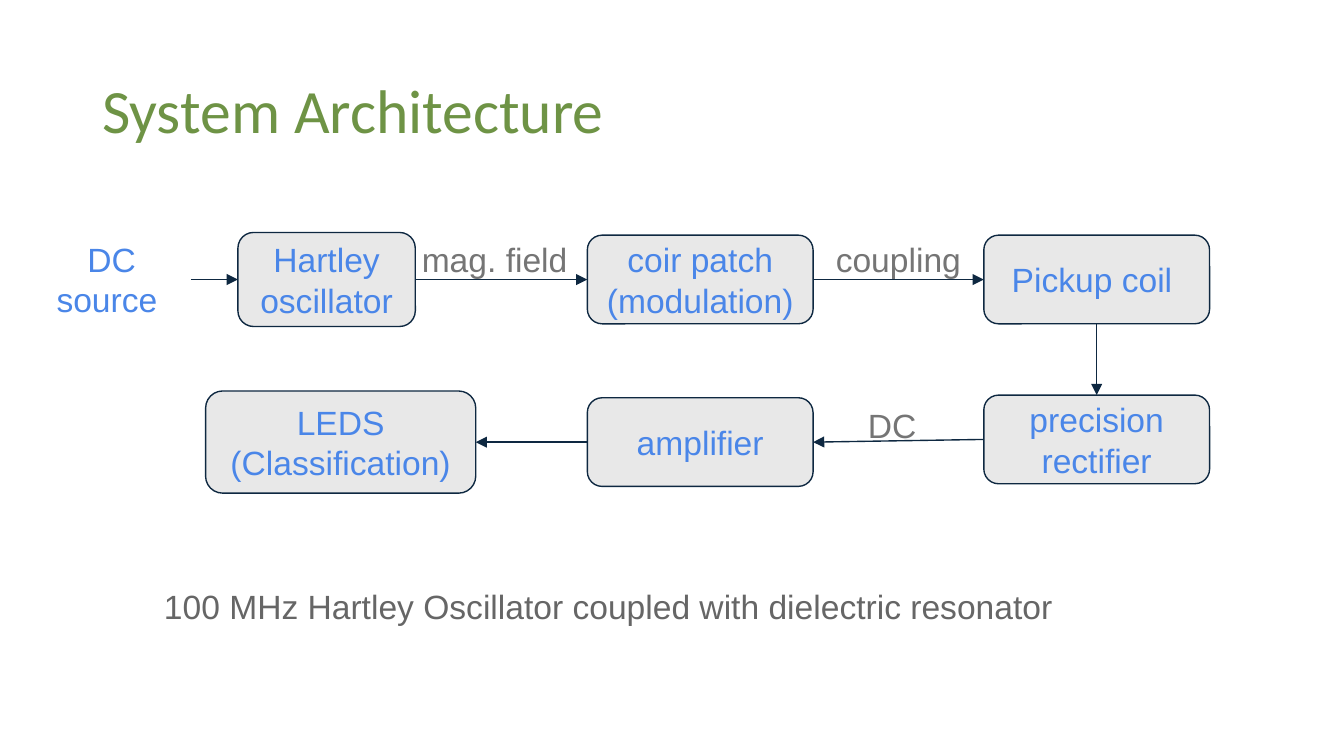
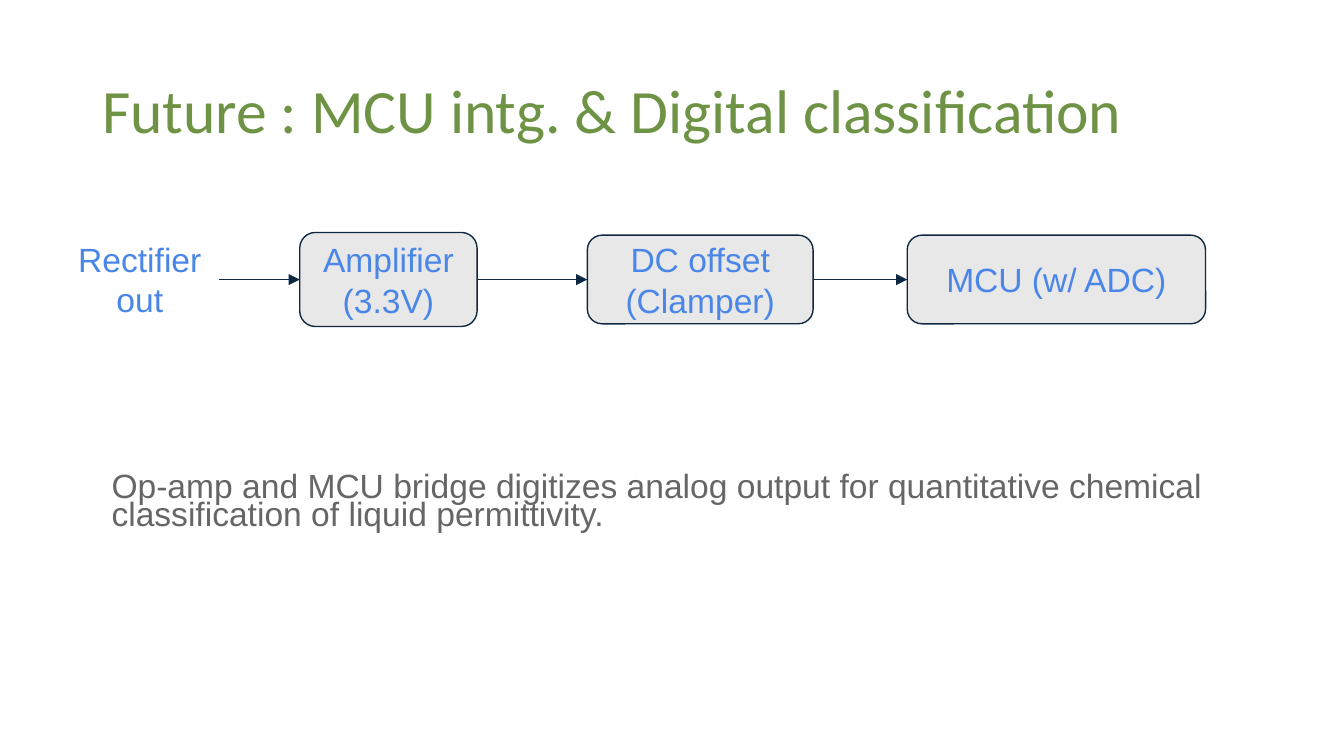
from dataclasses import dataclass

from lxml.etree import SubElement
from pptx import Presentation
from pptx.dml.color import RGBColor
from pptx.enum.shapes import MSO_CONNECTOR, MSO_SHAPE
from pptx.enum.text import MSO_ANCHOR, MSO_AUTO_SIZE, PP_ALIGN
from pptx.oxml.ns import qn
from pptx.util import Inches, Pt


@dataclass(frozen=True)
class Theme:
    title_color: RGBColor = RGBColor.from_string("6E9345")
    block_text: RGBColor = RGBColor.from_string("4A86E8")
    block_fill: RGBColor = RGBColor.from_string("E8E8E8")
    line: RGBColor = RGBColor.from_string("0E2841")
    label: RGBColor = RGBColor.from_string("757575")
    caption: RGBColor = RGBColor.from_string("666666")
    title_font: str = "Calibri"
    body_font: str = "Arial"
    title_size: int = 33
    body_size: int = 18
    line_width: float = 0.75


THEME = Theme()
SLIDE_WIDTH = Inches(10)
SLIDE_HEIGHT = SLIDE_WIDTH * 9 // 16
TOP, LEFT, BOTTOM, RIGHT = range(4)
UPPER_ROW, LOWER_ROW = 2.08, 3.29
INPUT_SIZE = (1.18, 0.81)
FIRST_SIZE = (1.32, 0.7)
BLOCK_SIZE = (1.68, 0.66)
MIDDLE_LEFT, LAST_LEFT = 4.37, 7.32
UPPER_LABEL_TOP, LOWER_LABEL_TOP, LABEL_HEIGHT = 1.68, 2.91, 0.5

# input: text, left
# blocks: name -> text, left, centre of the row, size
# arrows: from, side, to, side
# labels: text, left, top, width
SLIDES = [
    {
        "title": "System Architecture",
        "input": ("DC source ", 0.24),
        "blocks": {
            "oscillator": ("Hartley oscillator", 1.77, UPPER_ROW, FIRST_SIZE),
            "patch": ("coir patch\n(modulation)", MIDDLE_LEFT, UPPER_ROW, BLOCK_SIZE),
            "coil": ("Pickup coil ", LAST_LEFT, UPPER_ROW, BLOCK_SIZE),
            "rectifier": ("precision rectifier", LAST_LEFT, 3.27, BLOCK_SIZE),
            "amplifier": ("amplifier", MIDDLE_LEFT, LOWER_ROW, BLOCK_SIZE),
            "leds": ("LEDS (Classification)", 1.53, LOWER_ROW, (2.01, 0.76)),
        },
        "arrows": [
            ("input", RIGHT, "oscillator", LEFT),
            ("oscillator", RIGHT, "patch", LEFT),
            ("patch", RIGHT, "coil", LEFT),
            ("coil", BOTTOM, "rectifier", TOP),
            ("rectifier", LEFT, "amplifier", RIGHT),
            ("amplifier", LEFT, "leds", RIGHT),
        ],
        "labels": [
            ("mag. field", 3.04, UPPER_LABEL_TOP, 1.32),
            ("coupling", 6.12, UPPER_LABEL_TOP, 1.32),
            ("DC", 6.36, LOWER_LABEL_TOP, 0.65),
        ],
        "caption": "100 MHz Hartley Oscillator coupled with dielectric resonator",
        "caption_box": (1.15, 4.35, 6.85, 0.55),
        "caption_spacing": 0.9,
    },
    {
        "title": "Future : MCU intg. & Digital classification",
        "input": ("Rectifier out", 0.45),
        "blocks": {
            "amplifier": ("Amplifier (3.3V)", 2.23, UPPER_ROW, FIRST_SIZE),
            "offset": ("DC offset (Clamper)", MIDDLE_LEFT, UPPER_ROW, BLOCK_SIZE),
            "mcu": ("MCU (w/ ADC)", 6.75, UPPER_ROW, (2.22, 0.66)),
        },
        "arrows": [
            ("input", RIGHT, "amplifier", LEFT),
            ("amplifier", RIGHT, "offset", LEFT),
            ("offset", RIGHT, "mcu", LEFT),
        ],
        "labels": [],
        "caption": "Op-amp and MCU bridge digitizes analog output for quantitative "
                   "chemical classification of liquid permittivity.",
        "caption_box": (0.76, 3.5, 8.4, 0.55),
        "caption_spacing": 0.7,
    },
]


def write(shape, text, color, size=THEME.body_size, font=THEME.body_font,
          align=PP_ALIGN.LEFT, anchor=MSO_ANCHOR.TOP, insets=(0.1, 0.1)):
    frame = shape.text_frame
    frame.text = text
    frame.word_wrap = True
    frame.vertical_anchor = anchor
    frame.margin_left = frame.margin_right = Inches(insets[0])
    frame.margin_top = frame.margin_bottom = Inches(insets[1])
    for paragraph in frame.paragraphs:
        paragraph.alignment = align
        for run in paragraph.runs:
            run.font.name = font
            run.font.size = Pt(size)
            run.font.color.rgb = color


def fill_placeholder(shape, text, box, color, spacing, **style):
    shape.left, shape.top, shape.width, shape.height = map(Inches, box)
    write(shape, text, color, insets=(0.07, 0.04), **style)
    shape.text_frame.auto_size = MSO_AUTO_SIZE.NONE
    paragraph = shape.text_frame.paragraphs[0]
    paragraph.line_spacing = spacing
    paragraph.space_before = Pt(0)
    return paragraph


def remove_bullet(paragraph):
    properties = paragraph._p.get_or_add_pPr()
    properties.set("marL", "0")
    properties.set("indent", "0")
    SubElement(properties, qn("a:buNone"))


def add_text(slide, text, box, color, align=PP_ALIGN.LEFT):
    text_box = slide.shapes.add_textbox(*map(Inches, box))
    write(text_box, text, color, align=align)
    text_box.text_frame.auto_size = MSO_AUTO_SIZE.SHAPE_TO_FIT_TEXT
    return text_box


def add_block(slide, text, left, center, size):
    width, height = size
    box = (left, center - height / 2, width, height)
    block = slide.shapes.add_shape(MSO_SHAPE.ROUNDED_RECTANGLE, *map(Inches, box))
    block.shadow.inherit = False
    block.fill.solid()
    block.fill.fore_color.rgb = THEME.block_fill
    block.line.color.rgb = THEME.line
    block.line.width = Pt(THEME.line_width)
    write(block, text, THEME.block_text, align=PP_ALIGN.CENTER, anchor=MSO_ANCHOR.MIDDLE)
    return block


def add_arrow(slide, start, start_side, end, end_side):
    arrow = slide.shapes.add_connector(MSO_CONNECTOR.STRAIGHT, 0, 0, 0, 0)
    arrow.begin_connect(start, start_side)
    arrow.end_connect(end, end_side)
    arrow.line.color.rgb = THEME.line
    arrow.line.width = Pt(THEME.line_width)
    SubElement(arrow.line._get_or_add_ln(), qn("a:tailEnd"), type="triangle")
    SubElement(arrow._element.spPr, qn("a:effectLst"))


def build_slide(presentation, content):
    slide = presentation.slides.add_slide(presentation.slide_layouts[1])
    fill_placeholder(slide.shapes.title, content["title"], (0.69, 0.3, 8.62, 1.09),
                     THEME.title_color, 0.9, size=THEME.title_size,
                     font=THEME.title_font, anchor=MSO_ANCHOR.MIDDLE)
    caption = fill_placeholder(slide.placeholders[1], content["caption"],
                               content["caption_box"], THEME.caption,
                               content["caption_spacing"])
    remove_bullet(caption)

    input_text, input_left = content["input"]
    width, height = INPUT_SIZE
    input_box = (input_left, UPPER_ROW - height / 2, width, height)
    nodes = {"input": add_text(slide, input_text, input_box, THEME.block_text,
                               PP_ALIGN.CENTER)}
    for name, block in content["blocks"].items():
        nodes[name] = add_block(slide, *block)
    for start, start_side, end, end_side in content["arrows"]:
        add_arrow(slide, nodes[start], start_side, nodes[end], end_side)
    for text, left, top, label_width in content["labels"]:
        add_text(slide, text, (left, top, label_width, LABEL_HEIGHT), THEME.label)


def main():
    presentation = Presentation()
    presentation.slide_width = SLIDE_WIDTH
    presentation.slide_height = SLIDE_HEIGHT
    for content in SLIDES:
        build_slide(presentation, content)
    presentation.save("out.pptx")


if __name__ == "__main__":
    main()
